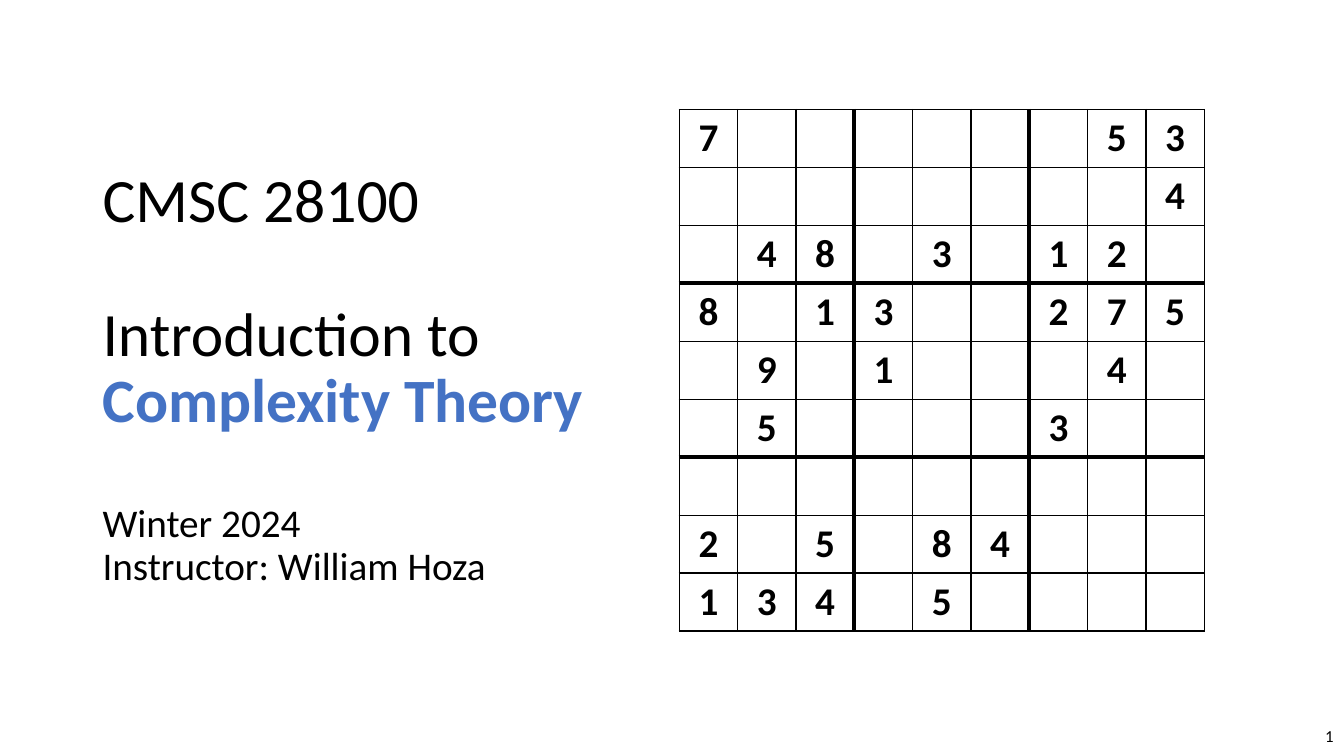
"""Build the opening slide of a complexity theory course with a Sudoku grid."""
import pptx
import pptx.dml.color
import pptx.enum.text
import pptx.oxml
import pptx.oxml.ns
import pptx.util
from pptx.util import Cm

COLOURS = {"ink": "000000", "accent": "4472C4", "paper": "FFFFFF"}
FONT = "Calibri"
SECTION_GAP = 48.3
COURSE = [
    (0, [("CMSC 28100", 44, "ink", False)]),
    (SECTION_GAP, [("Introduction to ", 44, "ink", False),
                   ("Complexity Theory", 44, "accent", True)]),
    (SECTION_GAP, [("Winter 2024", 28, "ink", False)]),
    (0, [("Instructor: William Hoza", 28, "ink", False)]),
]
SUDOKU = [
    "7......53",
    "........4",
    ".48.3.12.",
    "8.13..275",
    ".9.1...4.",
    ".5....3..",
    ".........",
    "2.5.84...",
    "134.5....",
]
SIZE = len(SUDOKU)
BOX = 3
THIN, THICK = 1, 3
CELL_WIDTH, CELL_HEIGHT = Cm(1.47), Cm(1.46)


def colour(name):
    return pptx.dml.color.RGBColor.from_string(COLOURS[name])


def style(font, size, ink="ink", bold=False):
    font.name = FONT
    font.size = pptx.util.Pt(size)
    font.bold = bold
    font.color.rgb = colour(ink)


def edge_width(boundary):
    return THICK if boundary % BOX == 0 and 0 < boundary < SIZE else THIN


def add_borders(cell, row, column):
    boundaries = {"L": column, "R": column + 1, "T": row, "B": row + 1}
    for side, boundary in boundaries.items():
        cell._tc.get_or_add_tcPr().append(pptx.oxml.parse_xml(
            f'<a:ln{side} {pptx.oxml.ns.nsdecls("a")} '
            f'w="{pptx.util.Pt(edge_width(boundary))}"><a:solidFill>'
            f'<a:srgbClr val="{COLOURS["ink"]}"/></a:solidFill></a:ln{side}>'))


def add_course(slide):
    title = slide.shapes.title
    title.left, title.top, title.width, title.height = Cm(2.33), Cm(1.06), Cm(13.97), Cm(16.97)
    frame = title.text_frame
    frame.word_wrap = True
    frame.auto_size = pptx.enum.text.MSO_AUTO_SIZE.NONE
    frame.vertical_anchor = pptx.enum.text.MSO_ANCHOR.MIDDLE
    for index, (gap, runs) in enumerate(COURSE):
        paragraph = frame.add_paragraph() if index else frame.paragraphs[0]
        paragraph.alignment = pptx.enum.text.PP_ALIGN.LEFT
        paragraph.line_spacing = 0.9
        paragraph.space_before = pptx.util.Pt(gap)
        for text, size, ink, bold in runs:
            run = paragraph.add_run()
            run.text = text
            style(run.font, size, ink, bold)


def add_sudoku(slide):
    grid = slide.shapes.add_table(SIZE, SIZE, Cm(17.12), Cm(2.76),
                                  CELL_WIDTH * SIZE, CELL_HEIGHT * SIZE).table
    grid.first_row = False
    grid.horz_banding = False
    for column in grid.columns:
        column.width = CELL_WIDTH
    for row in grid.rows:
        row.height = CELL_HEIGHT
    for row, digits in enumerate(SUDOKU):
        for column, digit in enumerate(digits):
            cell = grid.cell(row, column)
            add_borders(cell, row, column)
            cell.fill.solid()
            cell.fill.fore_color.rgb = colour("paper")
            cell.vertical_anchor = pptx.enum.text.MSO_ANCHOR.MIDDLE
            if digit != ".":
                paragraph = cell.text_frame.paragraphs[0]
                paragraph.alignment = pptx.enum.text.PP_ALIGN.CENTER
                run = paragraph.add_run()
                run.text = digit
                style(run.font, 28, bold=True)


def add_page_number(slide):
    frame = slide.shapes.add_textbox(Cm(26.24), Cm(18.03), Cm(7.62), Cm(1.02)).text_frame
    frame.word_wrap = True
    frame.vertical_anchor = pptx.enum.text.MSO_ANCHOR.MIDDLE
    paragraph = frame.paragraphs[0]
    paragraph.alignment = pptx.enum.text.PP_ALIGN.RIGHT
    run = paragraph.add_run()
    run.text = "1"
    style(run.font, 12)


def main():
    deck = pptx.Presentation()
    deck.slide_width, deck.slide_height = Cm(33.87), Cm(19.05)
    slide = deck.slides.add_slide(deck.slide_layouts.get_by_name("Title Only"))
    add_page_number(slide)
    add_course(slide)
    add_sudoku(slide)
    deck.save("out.pptx")


if __name__ == "__main__":
    main()
